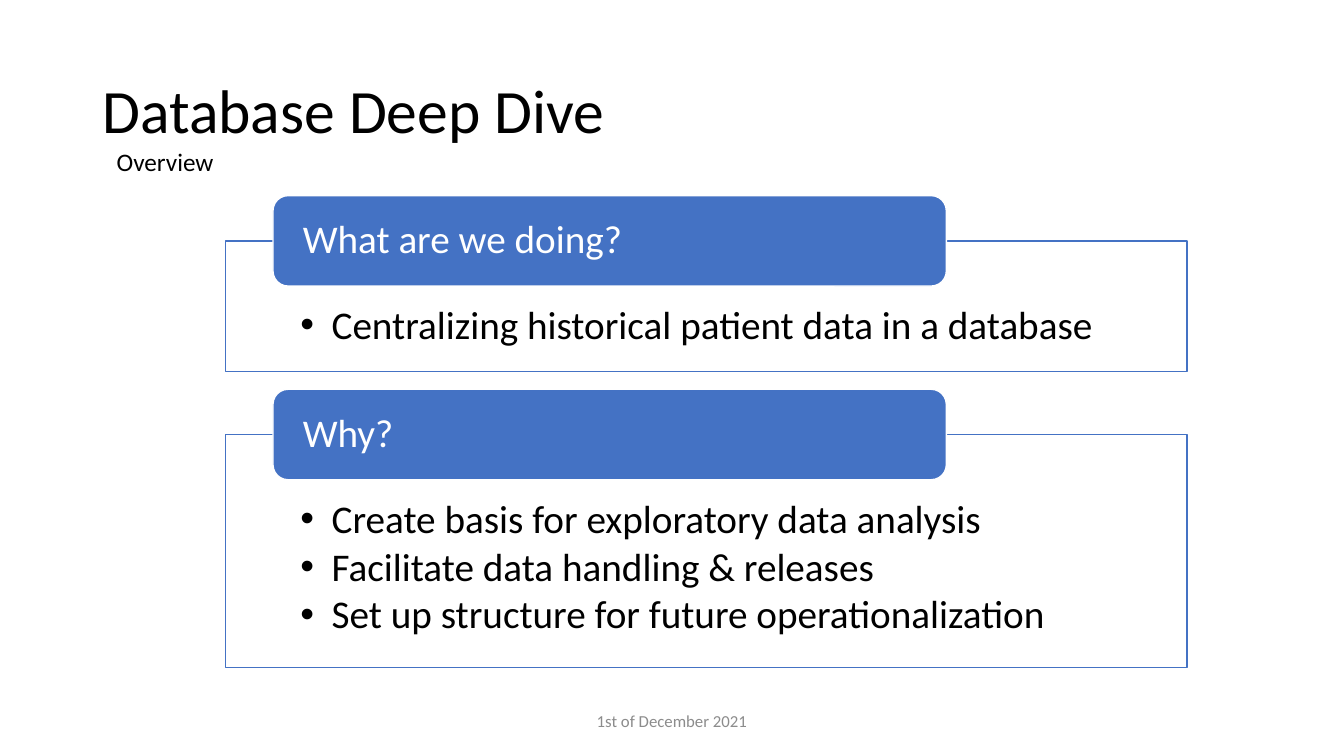
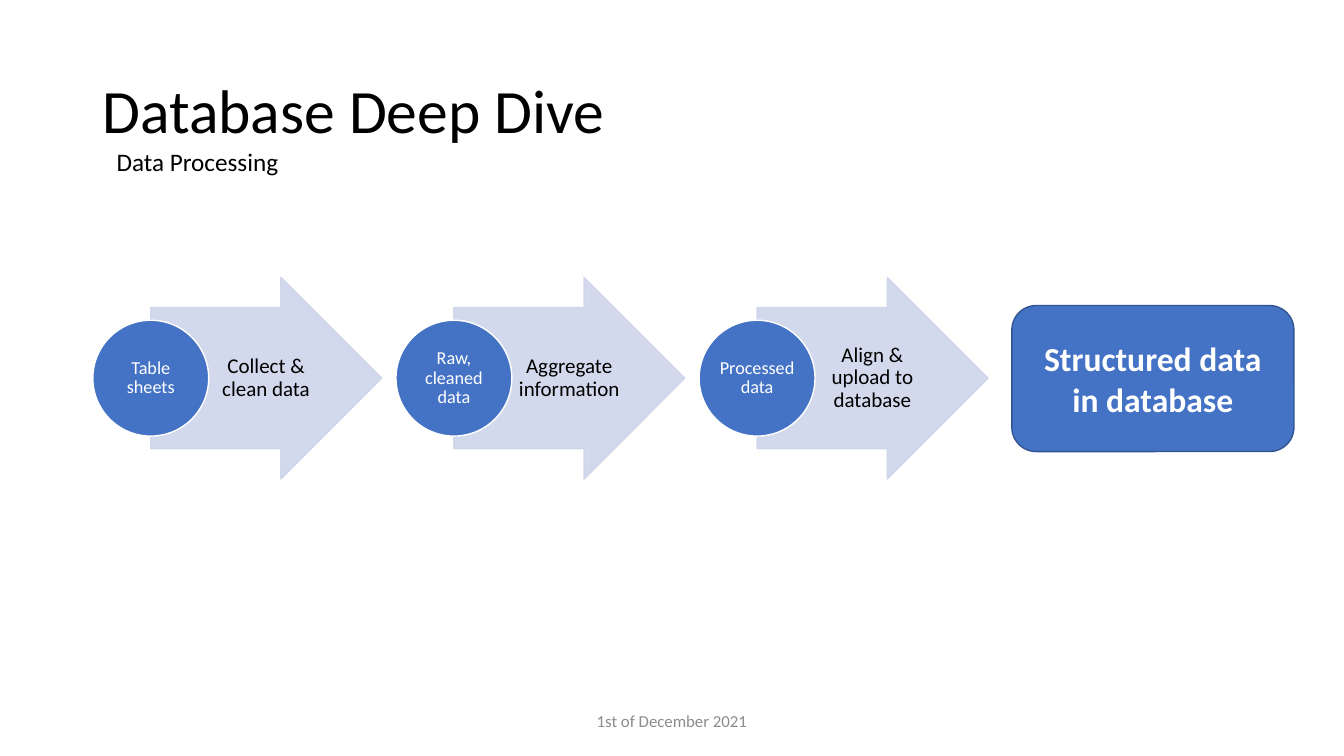
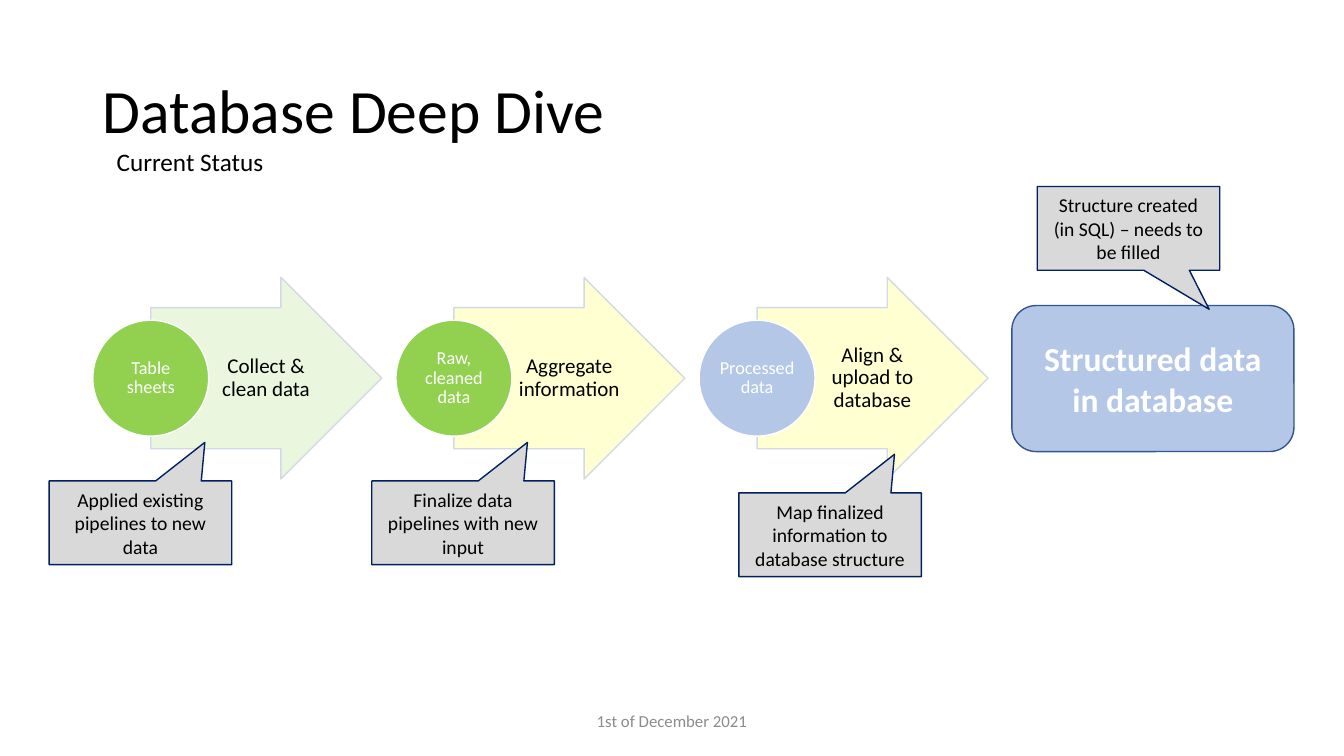
from pptx import Presentation
from pptx.dml.color import RGBColor
from pptx.enum import shapes, text
from pptx.oxml.ns import qn
from pptx.util import Cm, Pt
from lxml import etree

BLACK = RGBColor(0x00, 0x00, 0x00)
WHITE = RGBColor(0xFF, 0xFF, 0xFF)
GREY = RGBColor(0x8C, 0x8C, 0x8C)
BLUE = RGBColor(0x44, 0x72, 0xC4)
DARK_BLUE = RGBColor(0x32, 0x54, 0x91)
LIGHT_BLUE = RGBColor(0xB4, 0xC7, 0xE7)
PALE_BLUE = RGBColor(0xCF, 0xD5, 0xEA)
GREEN = RGBColor(0x92, 0xD0, 0x50)
PALE_GREEN = RGBColor(0xE9, 0xF6, 0xDC)
PALE_YELLOW = RGBColor(0xFF, 0xFF, 0xCC)
NAVY = RGBColor(0x00, 0x20, 0x60)
SILVER = RGBColor(0xD9, 0xD9, 0xD9)

FONT = "Calibri"
TITLE = "Database Deep Dive"
FOOTER = "1st of December 2021"
LEFT, CENTER = text.PP_ALIGN.LEFT, text.PP_ALIGN.CENTER
SHAPE = shapes.MSO_SHAPE

CARDS = [
    ("What are we doing?", 6.07, 3.3,
     ["Centralizing historical patient data in a database"]),
    ("Why?", 10.95, 5.87,
     ["Create basis for exploratory data analysis",
      "Facilitate data handling & releases",
      "Set up structure for future operationalization"]),
]
STEPS = [
    ("Table sheets", "Collect & clean data"),
    ("Raw, cleaned data", "Aggregate information"),
    ("Processed data", "Align & upload to database"),
]
RESULT = "Structured data in database"
PLAN_COLORS = [(BLUE, PALE_BLUE)] * 3
STATUS_COLORS = [(GREEN, PALE_GREEN), (GREEN, PALE_YELLOW), (LIGHT_BLUE, PALE_YELLOW)]
UP, DOWN = (0.353, -0.961), (0.442, 0.967)
CALLOUTS = [
    ("Applied existing pipelines to new data", 1.24, 12.12, UP),
    ("Finalize data pipelines with new input", 9.37, 12.12, UP),
    ("Map finalized information to database structure", 18.62, 12.42, UP),
    ("Structure created (in SQL) – needs to be filled", 26.14, 4.7, DOWN),
]

CARD_X, CARD_W = 5.69, 24.23
HEAD_X, HEAD_W, HEAD_H = 6.88, 16.97, 2.28
STEP_X, STEP_PITCH, MIDDLE = 2.34, 7.64, 9.53
CIRCLE, ARROW_W, ARROW_H = 2.92, 5.82, 5.08
LABEL_W, LABEL_H = 2.84, 3.56


def assign(target, values):
    for name, value in values.items():
        setattr(target, name, value)


def write(sp, lines, size, color, align=CENTER, bold=False, spacing=1.0, after=0,
          anchor=text.MSO_ANCHOR.MIDDLE, insets=(0.25, 0.13, 0.25, 0.13), wrap=True):
    tf = sp.text_frame
    assign(tf, dict(word_wrap=wrap, vertical_anchor=anchor))
    sides = ("margin_left", "margin_top", "margin_right", "margin_bottom")
    assign(tf, dict(zip(sides, map(Cm, insets))))
    for i, line in enumerate(lines):
        p = tf.add_paragraph() if i else tf.paragraphs[0]
        assign(p, dict(alignment=align, line_spacing=spacing, space_after=Pt(after)))
        r = p.add_run()
        r.text = line
        assign(r.font, dict(name=FONT, size=Pt(size), bold=bold))
        r.font.color.rgb = color
    return tf


def box(s, x, y, w, h):
    return s.shapes.add_textbox(Cm(x), Cm(y), Cm(w), Cm(h))


def shape(s, kind, x, y, w, h, fill, line, adjust=()):
    sp = s.shapes.add_shape(kind, Cm(x), Cm(y), Cm(w), Cm(h))
    sp.shadow.inherit = False
    sp.fill.solid()
    sp.fill.fore_color.rgb = fill
    sp.line.color.rgb = line
    sp.line.width = Pt(1)
    for i, value in enumerate(adjust):
        sp.adjustments[i] = value
    return sp


def fade(sp, *parts):
    for part in parts:
        color = sp._element.spPr.find(part + "/" + qn("a:srgbClr"))
        etree.SubElement(color, qn("a:alpha"), val="90000")


FILL = qn("a:solidFill")
LINE = qn("a:ln") + "/" + FILL


def bullet(p):
    pPr = p._p.get_or_add_pPr()
    indents = dict(marL=Cm(0.79), indent=-Cm(0.79))
    for name, value in indents.items():
        pPr.set(name, str(int(value)))
    etree.SubElement(pPr, qn("a:buFont"), typeface="Arial")
    etree.SubElement(pPr, qn("a:buChar"), char="•")


def new_slide(subtitle, width):
    s = prs.slides.add_slide(prs.slide_layouts[5])
    title = s.shapes.title
    assign(title, dict(left=Cm(2.33), top=Cm(1.02), width=Cm(29.21), height=Cm(3.68)))
    write(title, [TITLE], 44, BLACK, LEFT, spacing=0.9)
    write(box(s, 11.22, 17.65, 11.43, 1.02), [FOOTER], 12, GREY)
    tf = write(box(s, 2.69, 3.56, width, 1.02), [subtitle], 18, BLACK, LEFT,
               anchor=text.MSO_ANCHOR.TOP, wrap=False)
    tf.auto_size = text.MSO_AUTO_SIZE.SHAPE_TO_FIT_TEXT
    return s


def draw_card(s, heading, y, h, points):
    card = shape(s, SHAPE.RECTANGLE, CARD_X, y, CARD_W, h, WHITE, BLUE)
    fade(card, FILL)
    tf = write(card, points, 28, BLACK, LEFT, spacing=0.9, after=4,
               anchor=text.MSO_ANCHOR.TOP, insets=(1.88, 1.63, 1.88, 0.56))
    for p in tf.paragraphs:
        bullet(p)
    head = shape(s, SHAPE.ROUNDED_RECTANGLE, HEAD_X, y - HEAD_H / 2, HEAD_W, HEAD_H,
                 BLUE, WHITE)
    write(head, [heading], 28, WHITE, LEFT, spacing=0.9, insets=(0.64, 0, 0.64, 0))


def draw_process(s, colors, result_color):
    for i, ((state, action), (solid, pale)) in enumerate(zip(STEPS, colors)):
        x = STEP_X + i * STEP_PITCH
        arrow = shape(s, SHAPE.RIGHT_ARROW, x + CIRCLE / 2, MIDDLE - ARROW_H / 2,
                      ARROW_W, ARROW_H, pale, PALE_BLUE, (0.7, 0.5))
        fade(arrow, FILL, LINE)
        label = box(s, x + CIRCLE, MIDDLE - LABEL_H / 2, LABEL_W, LABEL_H)
        write(label, [action], 15, BLACK, spacing=0.9, insets=(0.1, 0.03, 0.05, 0.03))
        circle = shape(s, SHAPE.OVAL, x, MIDDLE - CIRCLE / 2, CIRCLE, CIRCLE, solid, WHITE)
        write(circle, [state], 13, WHITE, spacing=0.9, insets=(0.03,) * 4)
    result = shape(s, SHAPE.ROUNDED_RECTANGLE, 25.5, 7.7, 7.11, 3.68,
                   result_color, DARK_BLUE)
    write(result, [RESULT], 24, WHITE, bold=True)


prs = Presentation()
assign(prs, dict(slide_width=Cm(33.87), slide_height=Cm(19.05)))

s = new_slide("Overview", 2.97)
for card in CARDS:
    draw_card(s, *card)

s = new_slide("Data Processing", 4.62)
draw_process(s, PLAN_COLORS, BLUE)

s = new_slide("Current Status", 4.24)
draw_process(s, STATUS_COLORS, LIGHT_BLUE)
for note, x, y, tip in CALLOUTS:
    callout = shape(s, SHAPE.RECTANGULAR_CALLOUT, x, y, 4.6, 2.11, SILVER, NAVY, tip)
    write(callout, [note], 14, BLACK)

prs.save("out.pptx")
